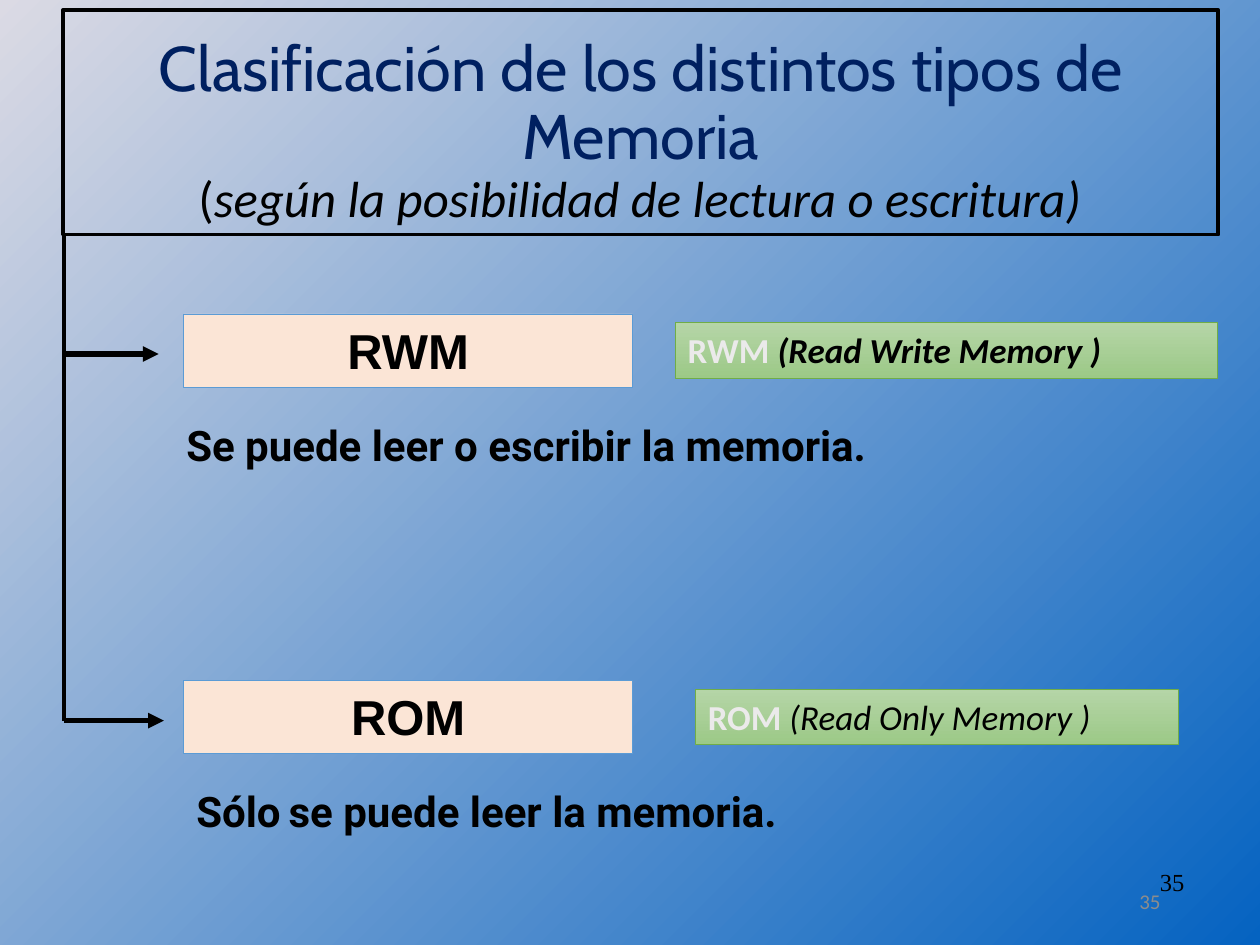
"""Build a slide that classifies memory types by whether they can be read or written."""
import pptx
import pptx.dml.color
import pptx.enum.dml
import pptx.enum.shapes
import pptx.enum.text
import pptx.oxml
import pptx.util
from dataclasses import dataclass

Pt = pptx.util.Pt
ALIGN = pptx.enum.text.PP_ALIGN
ANCHOR = pptx.enum.text.MSO_ANCHOR


@dataclass(frozen=True)
class Theme:
    ink: str = "000000"
    navy: str = "002060"
    pale: str = "EBEAEA"
    grey: str = "8C8C8C"
    peach: str = "FBE5D6"
    blue: str = "5B9BD5"
    green: str = "70AD47"
    green_fade: tuple = ("B5D5A7", "9CC987")
    backdrop: tuple = ("DBDAE4", "0563C1")
    title: tuple = ("Cabin", 36)
    subtitle: tuple = ("Calibri", 29)
    name: tuple = ("Arial", 28)
    meaning: tuple = ("Calibri", 20)
    note: tuple = ("Roboto", 24)
    gap: tuple = ("Roboto", 18)
    page: tuple = ("Calibri", 12)
    page_serif: tuple = ("Times New Roman", 14)


THEME = Theme()

TITLE_BOX = (36, 5.8, 660.2, 128.2)
TITLE_LINES = [
    [("Clasificación de los distintos tipos de Memoria", THEME.title, THEME.navy, "")],
    [("(", THEME.subtitle, THEME.ink, ""),
     ("según la posibilidad de lectura o escritura)", THEME.subtitle, THEME.ink, "i")],
]
MEMORIES = [
    {"name": "RWM", "meaning": "(Read Write Memory )", "meaning_style": "bi",
     "note": [("Se puede leer o escribir la memoria.", THEME.note, THEME.ink, "b")],
     "middle": 202.3, "meaning_span": (385.9, 309.6), "note_span": (99.4, 573.8),
     "arrow_end": 90.7},
    {"name": "ROM", "meaning": "(Read Only Memory )", "meaning_style": "i",
     "note": [("Sólo", THEME.note, THEME.ink, "b"), (" ", THEME.gap, THEME.ink, ""),
              ("se puede leer la memoria.", THEME.note, THEME.ink, "b")],
     "middle": 411.8, "meaning_span": (397.4, 275.8), "note_span": (105.1, 451.4),
     "arrow_end": 93.6},
]
PAGE_NUMBERS = [
    ((508.3, 500.4, 162, 28.8), THEME.page, THEME.grey, ANCHOR.MIDDLE),
    ((516.2, 491.8, 167.8, 37.4), THEME.page_serif, THEME.ink, ANCHOR.TOP),
]
SPINE_X = 36.7
NAME_LEFT, NAME_WIDTH, NAME_HEIGHT = 105.1, 256.3, 41.8
MEANING_HEIGHT = 31.7
NOTE_DROP, NOTE_HEIGHT = 33.8, 36


def rgb(value):
    return pptx.dml.color.RGBColor.from_string(value)


def fade(fill, colours, angle):
    fill.gradient()
    fill.gradient_angle = angle
    for stop, colour in zip(fill.gradient_stops, colours):
        stop.color.rgb = rgb(colour)


def outline(shape, colour, width):
    shape.line.color.rgb = rgb(colour)
    shape.line.width = Pt(width)


def write(frame, lines, align=ALIGN.LEFT, anchor=ANCHOR.TOP, spacing=1.0):
    frame.word_wrap = True
    frame.auto_size = pptx.enum.text.MSO_AUTO_SIZE.NONE
    frame.vertical_anchor = anchor
    for index, line in enumerate(lines):
        paragraph = frame.add_paragraph() if index else frame.paragraphs[0]
        paragraph.alignment = align
        paragraph.line_spacing = spacing
        for text, (family, size), colour, style in line:
            run = paragraph.add_run()
            run.text = text
            run.font.name = family
            run.font.size = Pt(size)
            run.font.color.rgb = rgb(colour)
            run.font.bold = "b" in style
            run.font.italic = "i" in style


def add_label(slide, box, line, **layout):
    label = slide.shapes.add_textbox(*map(Pt, box))
    write(label.text_frame, [line], **layout)


def add_panel(slide, box, line, border, align):
    panel = slide.shapes.add_shape(
        pptx.enum.shapes.MSO_SHAPE.RECTANGLE, *map(Pt, box))
    panel.shadow.inherit = False
    outline(panel, border, 0.5)
    write(panel.text_frame, [line], align)
    return panel


def add_line(slide, start, end, width, arrow=False):
    line = slide.shapes.add_connector(
        pptx.enum.shapes.MSO_CONNECTOR.STRAIGHT, *map(Pt, start + end))
    outline(line, THEME.ink, width)
    namespace = pptx.oxml.ns.nsdecls("a")
    if arrow:
        line.line._get_or_add_ln().append(
            pptx.oxml.parse_xml(f'<a:tailEnd {namespace} type="triangle"/>'))
    line._element.spPr.append(pptx.oxml.parse_xml(f"<a:effectLst {namespace}/>"))


def add_memory(slide, memory, branch_top):
    middle = memory["middle"]
    add_line(slide, (SPINE_X, branch_top), (SPINE_X, middle), 2.25)
    add_line(slide, (SPINE_X, middle), (memory["arrow_end"], middle), 3, arrow=True)

    name_top = middle - NAME_HEIGHT / 2 - 2
    name = add_panel(slide, (NAME_LEFT, name_top, NAME_WIDTH, NAME_HEIGHT),
                     [(memory["name"], THEME.name, THEME.ink, "b")],
                     THEME.blue, ALIGN.CENTER)
    name.fill.solid()
    name.fill.fore_color.rgb = rgb(THEME.peach)

    left, width = memory["meaning_span"]
    meaning = add_panel(
        slide, (left, middle - MEANING_HEIGHT / 2 - 2, width, MEANING_HEIGHT),
        [(memory["name"] + " ", THEME.meaning, THEME.pale, "b"),
         (memory["meaning"], THEME.meaning, THEME.ink, memory["meaning_style"])],
        THEME.green, ALIGN.LEFT)
    fade(meaning.fill, THEME.green_fade, 270)

    left, width = memory["note_span"]
    add_label(slide, (left, middle + NOTE_DROP, width, NOTE_HEIGHT), memory["note"])


def main():
    deck = pptx.Presentation()
    deck.slide_width, deck.slide_height = Pt(720), Pt(540)
    slide = deck.slides.add_slide(deck.slide_layouts[5])
    fade(slide.background.fill, THEME.backdrop, 315)

    title = slide.shapes.title
    title.left, title.top, title.width, title.height = map(Pt, TITLE_BOX)
    outline(title, THEME.ink, 2.25)
    write(title.text_frame, TITLE_LINES, ALIGN.CENTER, ANCHOR.BOTTOM, 0.9)

    branch_top = TITLE_BOX[1] + TITLE_BOX[3]
    for memory in MEMORIES:
        add_memory(slide, memory, branch_top)
        branch_top = memory["middle"]

    for box, face, colour, anchor in PAGE_NUMBERS:
        add_label(slide, box, [("35", face, colour, "")],
                  align=ALIGN.RIGHT, anchor=anchor)

    deck.save("out.pptx")


if __name__ == "__main__":
    main()
